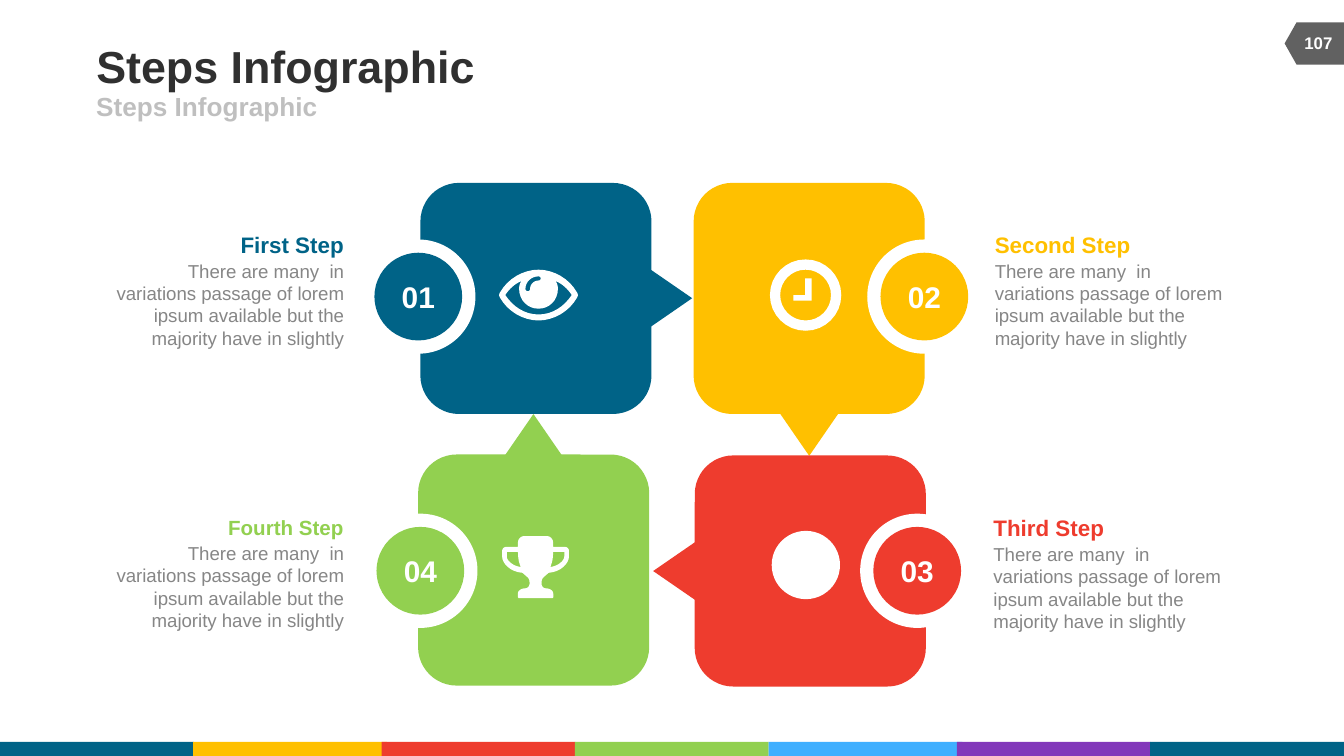
from dataclasses import dataclass
from typing import Optional

from pptx import Presentation
from pptx.dml.color import RGBColor
from pptx.enum import shapes, text
from pptx.util import Pt

BLUE = RGBColor(0x00, 0x63, 0x87)
GOLD = RGBColor(0xFF, 0xC0, 0x00)
RED = RGBColor(0xEE, 0x3C, 0x2E)
GREEN = RGBColor(0x92, 0xD0, 0x50)
SKY = RGBColor(0x40, 0xAF, 0xFF)
PURPLE = RGBColor(0x82, 0x38, 0xBA)
WHITE = RGBColor(0xFF, 0xFF, 0xFF)
DARK = RGBColor(0x30, 0x30, 0x30)
SLATE = RGBColor(0x61, 0x61, 0x61)
GRAY = RGBColor(0x86, 0x86, 0x86)
PALE = RGBColor(0xBF, 0xBF, 0xBF)

KIND = shapes.MSO_SHAPE
LEFT, MID, RIGHT = text.PP_ALIGN.LEFT, text.PP_ALIGN.CENTER, text.PP_ALIGN.RIGHT
TOP, HALF = text.MSO_ANCHOR.TOP, text.MSO_ANCHOR.MIDDLE
BODY = ("There are many  in variations passage of lorem ipsum "
        "available but the majority have in slightly")
SIDE, RING, DISK, SPOT = 123.8, 61.2, 47, 36.6
TIP_W, TIP_H = 31.7, 23

Point = tuple[float, float]
Loop = list[Point]


def bend(*pts: Point, steps: int = 8) -> Loop:
    """Sample chained cubic curves: a start, then two controls and an end each."""
    out = [pts[0]]
    for i in range(0, len(pts) - 1, 3):
        a, b, c, d = pts[i:i + 4]
        for k in range(1, steps + 1):
            t = k / steps
            s = 1 - t
            out.append(tuple(s**3 * p + 3 * s * s * t * q + 3 * s * t * t * r + t**3 * e
                             for p, q, r, e in zip(a, b, c, d)))
    return out


def flip(loop: Loop) -> Loop:
    return [(-x, y) for x, y in loop]


def close(half: Loop) -> Loop:
    """Join a right half with its mirror image."""
    return half + flip(half)[::-1]


def ring(r: float) -> Loop:
    k = r * 0.5523
    return close(bend((0, -r), (k, -r), (r, -k), (r, 0), (r, k), (k, r), (0, r)))


EYE = [
    close(bend((0, -13.6), (8.2, -13.6), (16.6, -8.7), (20.6, -1.4),
               (21.2, -0.6), (21.2, 0.6), (20.6, 1.4),
               (16.6, 8.7), (8.2, 13.6), (0, 13.6))),
    close(bend((0, 7.3), (5.8, 7.3), (10.4, 2.8), (10.4, -3.4),
               (10.4, -4.7), (10, -6.6), (9, -7.6),
               (12.8, -6), (15.8, -3.2), (17.8, 0),
               (13.8, 6), (7.6, 10.4), (0, 10.4))),
    bend((0, -10), (-3.9, -10), (-7, -7), (-7, -3.4),
         (-7, -2.6), (-6.5, -2.1), (-5.8, -2.1), (-5, -2.1), (-4.5, -2.6), (-4.5, -3.4),
         (-4.5, -5.8), (-2.4, -7.8), (0, -7.8), (0.7, -7.8), (1.2, -8.3), (1.2, -8.9),
         (1.2, -9.5), (0.7, -10), (0, -10)),
]
CLOCK = [ring(19.1), ring(13.6),
         [(3.2, 3), (-6.6, 3), (-6.6, 0), (-0.2, 0), (-0.2, -9), (3.2, -9)]]
GRIP = [(15.4, -8.2),
        *bend((9.4, -8.2), (9.4, -5), (9, -2.5), (7.9, 0),
              (12.5, -0.7), (15.4, -3.6), (15.4, -5.6))]
CUP = [
    close([(0, -16.6),
           *bend((6, -16.6), (8, -16.6), (9.4, -15), (9.4, -13.2)), (9.4, -10.8),
           *bend((15.7, -10.8), (17, -10.8), (17.9, -9.8), (17.9, -8.6)),
           *bend((17.9, -5.7), (17.9, -2), (13.6, 2.6), (7, 3.1),
                 (6, 4), (5, 4.8), (4.6, 5.2), (3.6, 6), (3.2, 7), (3.2, 8.6),
                 (3.2, 10), (3.8, 11.3), (5.6, 11.4), (7.8, 11.5), (9.5, 12.6), (9.5, 14.3)),
           (9.5, 16.2), (9.1, 16.6), (0, 16.6)]),
    GRIP, flip(GRIP),
]


@dataclass
class Step:
    num: str
    name: str
    color: RGBColor
    card: Point      # top left
    tip: Point       # centre
    turn: int
    badge: Point     # centre
    icon: Optional[list[Loop]]  # None means a plain dot
    spot: Point      # icon centre
    edge: float      # text edge nearest the card
    top: float
    head: float      # heading width
    width: float     # body width
    align: text.PP_ALIGN
    size: float = 12


STEPS = [
    Step("01", "First Step", BLUE, (225.2, 98), (359.3, 159.8), 90, (224.1, 158.9),
         EYE, (288.5, 158.1), 184.2, 124, 56.2, 128, RIGHT),
    Step("02", "Second Step", GOLD, (371.6, 98), (433.5, 232.7), 180, (495.2, 158.9),
         CLOCK, (431.6, 158.1), 532.9, 124, 73.4, 126, LEFT),
    Step("03", "Third Step", RED, (372.2, 244), (361.4, 305.9), 270, (491.4, 305.8),
         None, (431.7, 302.7), 532.2, 275.7, 59.8, 122.4, LEFT),
    Step("04", "Fourth Step", GREEN, (224, 243.5), (285.8, 233.3), 0, (225.2, 305.8),
         CUP, (286.9, 303.8), 184.2, 275.3, 62.6, 126.7, RIGHT, 11),
]


def paint(shape, color: RGBColor):
    shape.shadow.inherit = False
    shape.fill.solid()
    shape.fill.fore_color.rgb = color
    shape.line.fill.background()
    return shape


def block(kind, x: float, y: float, w: float, h: float, color: RGBColor, turn: int = 0):
    shape = page.shapes.add_shape(kind, Pt(x), Pt(y), Pt(w), Pt(h))
    shape.rotation = turn
    return paint(shape, color)


def dot(mid: Point, size: float, color: RGBColor):
    return block(KIND.OVAL, mid[0] - size / 2, mid[1] - size / 2, size, size, color)


def draw(loops: list[Loop], mid: Point) -> None:
    """Draw an icon as one outline with holes."""
    loops = [[(Pt(x + mid[0]), Pt(y + mid[1])) for x, y in loop] for loop in loops]
    pen = page.shapes.build_freeform(*loops[0][0])
    for i, loop in enumerate(loops):
        if i:
            pen.move_to(*loop[0])
        pen.add_line_segments(loop[1:], close=True)
    paint(pen.convert_to_shape(), WHITE)


def write(shape, words: str, *, size: float, color: RGBColor, bold: bool = True,
          align=LEFT, anchor=HALF, wrap: bool = True) -> None:
    frame = shape.text_frame
    frame.word_wrap = wrap
    frame.vertical_anchor = anchor
    frame.margin_left = frame.margin_right = frame.margin_top = frame.margin_bottom = 0
    para = frame.paragraphs[0]
    para.alignment = align
    run = para.add_run()
    run.text = words
    font = run.font
    font.name, font.size, font.bold = "Arial", Pt(size), bold
    font.color.rgb = color


def box(x: float, y: float, w: float, h: float):
    return page.shapes.add_textbox(Pt(x), Pt(y), Pt(w), Pt(h))


def show(step: Step) -> None:
    block(KIND.FLOWCHART_ALTERNATE_PROCESS, *step.card, SIDE, SIDE, step.color)
    block(KIND.ISOSCELES_TRIANGLE, step.tip[0] - TIP_W / 2, step.tip[1] - TIP_H / 2,
          TIP_W, TIP_H, step.color, step.turn)
    dot(step.badge, RING, WHITE)
    write(dot(step.badge, DISK, step.color), step.num, size=16, color=WHITE, align=MID)
    if step.icon:
        draw(step.icon, step.spot)
    else:
        dot(step.spot, SPOT, WHITE)
    back = 1 if step.align == RIGHT else 0
    write(box(step.edge - back * step.head, step.top, step.head, 14.4), step.name,
          size=step.size, color=step.color, align=step.align, wrap=False)
    write(box(step.edge - back * step.width, step.top + 15, step.width, 48.2), BODY,
          size=10, color=GRAY, bold=False, align=step.align, anchor=TOP)


deck = Presentation()
deck.slide_width, deck.slide_height = Pt(720), Pt(405)
page = deck.slides.add_slide(deck.slide_layouts[6])

BAR = zip((0, 103.5, 204.5, 308, 411.8, 512.6, 616.2),
          (BLUE, GOLD, RED, GREEN, SKY, PURPLE, BLUE))
for x, color in BAR:
    block(KIND.RECTANGLE, x, 397.5, 103.8, 7.5, color)
block(KIND.FLOWCHART_OFFPAGE_CONNECTOR, 692.8, 7.4, 22.6, 31.8, SLATE, 90)
write(box(691.2, 12.4, 30.2, 21.6), "107", size=9, color=WHITE, align=MID, wrap=False)
write(box(51.6, 21.2, 444, 28), "Steps Infographic", size=24, color=DARK, wrap=False)
write(box(51.6, 48.7, 324, 16), "Steps Infographic", size=14, color=PALE, wrap=False)
for step in STEPS:
    show(step)
deck.save("out.pptx")
